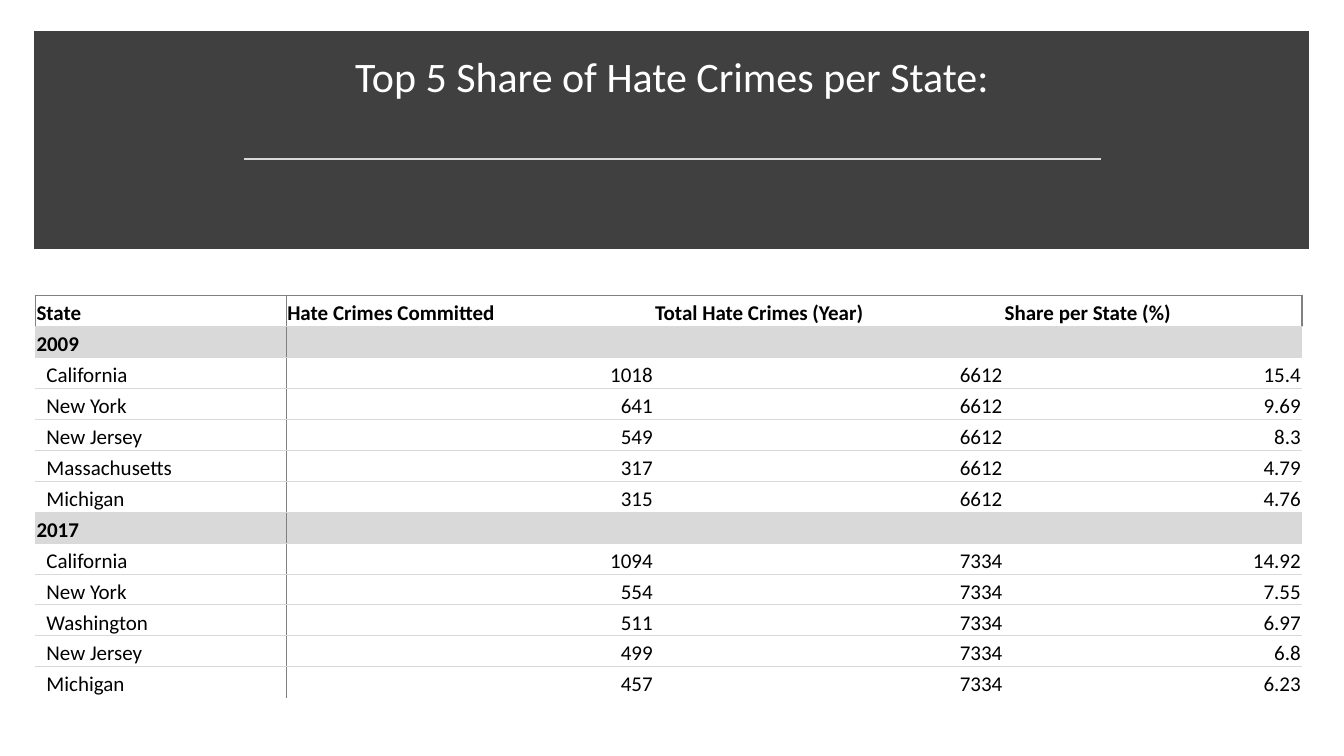
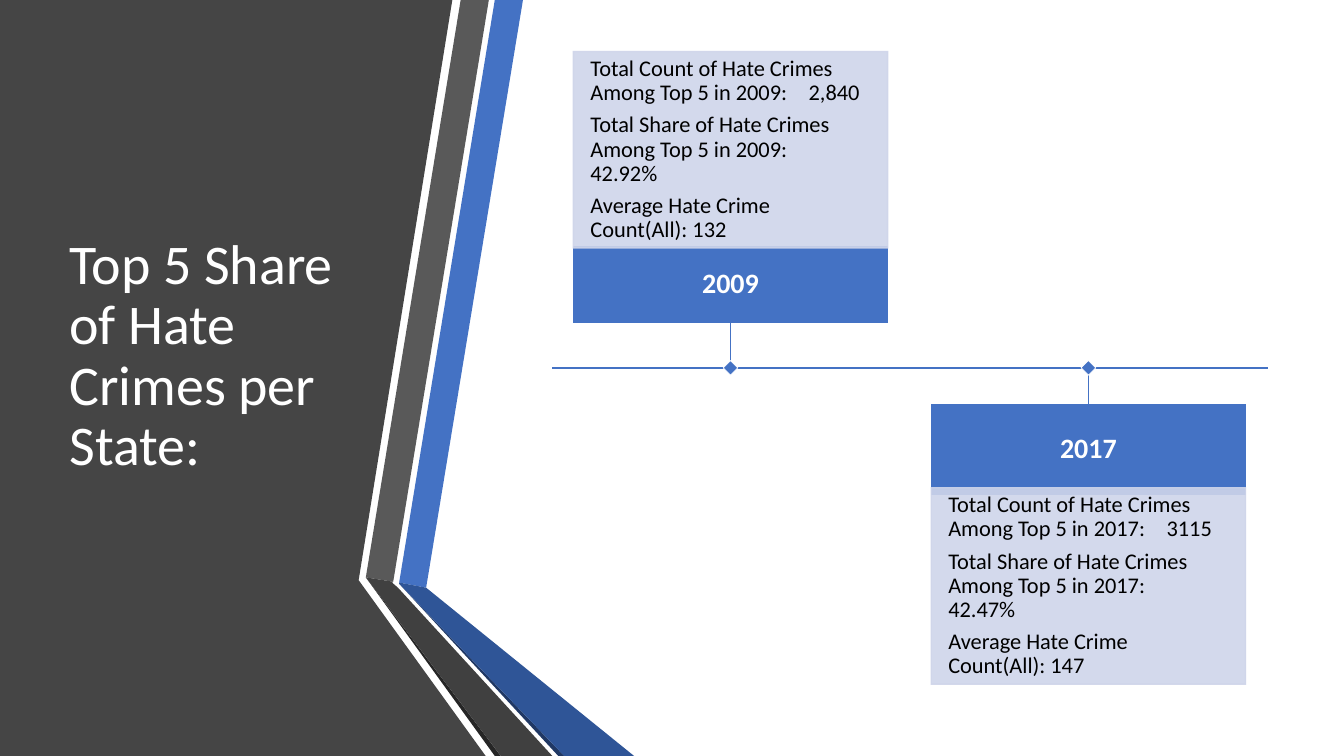
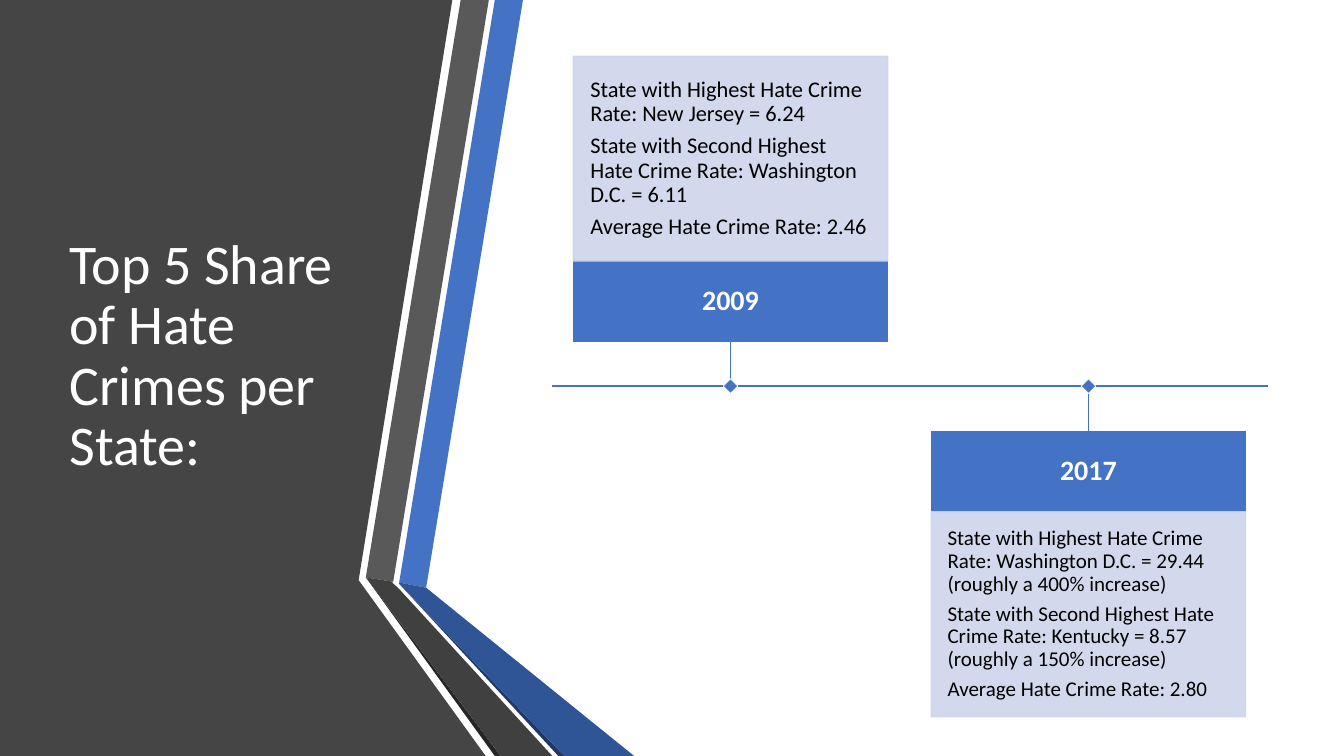
from lxml import etree
from pptx import Presentation
from pptx.dml.color import RGBColor
from pptx.enum.shapes import MSO_CONNECTOR, MSO_SHAPE
from pptx.enum.text import MSO_ANCHOR, PP_ALIGN
from pptx.oxml.ns import qn
from pptx.util import Cm, Pt

FONT = "Calibri"
TITLE = "Top 5 Share of Hate Crimes per State:"
COLORS = {
    "white": "FFFFFF", "black": "000000", "band": "404040", "panel": "454545",
    "stripe": "595959", "shadow": "262626", "blue": "4472C4", "deep_blue": "2F5597",
    "navy": "203864", "pale_blue": "CFD5EA", "rule": "D9D9D9", "border": "808080",
}

# Corner points in centimetres, from back to front
RIBBONS = [
    ("panel", [(0, 0), (11.4, 0), (9.04, 14.62), (12.24, 19.05), (0, 19.05)]),
    ("blue", [(10.06, 14.68), (10.74, 14.81), (13.18, 0), (12.47, 0)]),
    ("stripe", [(12.32, 0), (11.61, 0), (9.22, 14.55), (9.91, 14.66)]),
    ("shadow", [(9.22, 14.55), (12.47, 19.05), (12.62, 19.05)]),
    ("navy", [(10.06, 14.71), (14.07, 19.05), (14.22, 19.05)]),
    ("deep_blue", [(10.06, 14.71), (14.22, 19.05), (15.98, 19.05),
                   (10.74, 14.81), (10.06, 14.68)]),
    ("band", [(13.92, 19.05), (10.03, 14.81), (9.88, 14.68), (9.91, 14.66),
              (9.22, 14.55), (12.62, 19.05)]),
]

TABLE_HEADER = ["State", "Hate Crimes Committed", "Total Hate Crimes (Year)",
                "Share per State (%)"]
COLUMN_WIDTHS = [6.32, 9.27, 8.81, 7.52]
ROW_HEIGHT = 0.78
# Year: (total, [(state, count, share)])
CRIMES = {
    "2009": ("6612", [("California", "1018", "15.4"), ("New York", "641", "9.69"),
                      ("New Jersey", "549", "8.3"), ("Massachusetts", "317", "4.79"),
                      ("Michigan", "315", "4.76")]),
    "2017": ("7334", [("California", "1094", "14.92"), ("New York", "554", "7.55"),
                      ("Washington", "511", "6.97"), ("New Jersey", "499", "6.8"),
                      ("Michigan", "457", "6.23")]),
}

CARD_WIDTH = 7.92
CARD_LEFTS = [14.45, 23.47]
MARKER_SIZE = 0.26
VALUE_TAB = 5.5

# Each card: year, header top and height, body top and height, text size, lines
COUNT_CARDS = [
    ("2009", 6.22, 1.91, 1.3, 4.95, 16,
     ["Total Count of Hate Crimes Among Top 5 in 2009:\t2,840",
      "Total Share of Hate Crimes Among Top 5 in 2009:\t42.92%",
      "Average Hate Crime Count(All): 132"]),
    ("2017", 10.21, 2.24, 12.29, 4.95, 16,
     ["Total Count of Hate Crimes Among Top 5 in 2017:\t3115",
      "Total Share of Hate Crimes Among Top 5 in 2017:\t42.47%",
      "Average Hate Crime Count(All): 147"]),
]
RATE_CARDS = [
    ("2009", 6.58, 2.01, 1.42, 5.16, 16,
     ["State with Highest Hate Crime Rate: New Jersey = 6.24",
      "State with Second Highest Hate Crime Rate: Washington D.C. = 6.11",
      "Average Hate Crime Rate: 2.46"]),
    ("2017", 10.87, 2.01, 12.9, 5.16, 15,
     ["State with Highest Hate Crime Rate: Washington D.C. = 29.44 (roughly a 400% increase)",
      "State with Second Highest Hate Crime Rate: Kentucky = 8.57 (roughly a 150% increase)",
      "Average Hate Crime Rate: 2.80"]),
]


def rgb(name):
    return RGBColor.from_string(COLORS[name])


def add_slide(presentation):
    return presentation.slides.add_slide(presentation.slide_layouts[6])


def format_paragraph(paragraph, size, color, bold=False, align=PP_ALIGN.LEFT):
    paragraph.alignment = align
    for run in paragraph.runs:
        run.font.name = FONT
        run.font.size = Pt(size)
        run.font.bold = bold
        run.font.color.rgb = rgb(color)


def add_title(slide, left, top, width, height, size, align, anchor):
    frame = slide.shapes.add_textbox(Cm(left), Cm(top), Cm(width), Cm(height)).text_frame
    frame.word_wrap = True
    frame.vertical_anchor = anchor
    frame.text = TITLE
    frame.paragraphs[0].line_spacing = 0.9
    format_paragraph(frame.paragraphs[0], size, "white", align=align)


def add_box(slide, left, top, width, height, fill, line, line_width):
    shape = slide.shapes.add_shape(MSO_SHAPE.RECTANGLE, Cm(left), Cm(top),
                                   Cm(width), Cm(height))
    shape.shadow.inherit = False
    shape.fill.solid()
    shape.fill.fore_color.rgb = rgb(fill)
    shape.line.color.rgb = rgb(line)
    shape.line.width = Pt(line_width)
    outline = shape._element.spPr.find(qn("a:ln"))
    etree.SubElement(outline, qn("a:miter"), lim="800000")
    return shape


def set_opacity(shape, percent):
    for color in shape._element.spPr.iter(qn("a:srgbClr")):
        etree.SubElement(color, qn("a:alpha"), val=str(percent * 1000))


def add_line(slide, start, end, color, width):
    line = slide.shapes.add_connector(MSO_CONNECTOR.STRAIGHT, Cm(start[0]), Cm(start[1]),
                                      Cm(end[0]), Cm(end[1]))
    line.line.color.rgb = rgb(color)
    line.line.width = Pt(width)
    etree.SubElement(line._element.spPr, qn("a:effectLst"))


def add_ribbon(slide, color, points):
    corners = [(Cm(x), Cm(y)) for x, y in points]
    builder = slide.shapes.build_freeform(*corners[0])
    builder.add_line_segments(corners[1:], close=True)
    shape = builder.convert_to_shape()
    shape.shadow.inherit = False
    shape.fill.solid()
    shape.fill.fore_color.rgb = rgb(color)
    shape.line.fill.background()


def fill_box_text(shape, lines, size, color, inset, bold=False, align=PP_ALIGN.LEFT):
    frame = shape.text_frame
    frame.word_wrap = True
    frame.vertical_anchor = MSO_ANCHOR.MIDDLE
    frame.margin_left = frame.margin_right = Cm(inset)
    frame.margin_top = frame.margin_bottom = Cm(inset)
    frame.text = "\n".join(lines)
    for paragraph in frame.paragraphs:
        paragraph.line_spacing = 0.9
        paragraph.space_after = Pt(0.35 * size)
        format_paragraph(paragraph, size, color, bold, align)
        if "\t" in paragraph.text:
            tabs = etree.SubElement(paragraph._p.get_or_add_pPr(), qn("a:tabLst"))
            etree.SubElement(tabs, qn("a:tab"), pos=str(Cm(VALUE_TAB)), algn="l")


def set_borders(cell, borders):
    """Draw the given sides as {side: (color, points)} and clear the others."""
    properties = cell._tc.get_or_add_tcPr()
    for side in "LRTB":
        color, width = borders.get(side, (None, 0))
        line = etree.SubElement(properties, qn("a:ln" + side), w=str(Pt(width)))
        if color:
            fill = etree.SubElement(line, qn("a:solidFill"))
            etree.SubElement(fill, qn("a:srgbClr"), val=COLORS[color])
        else:
            etree.SubElement(line, qn("a:noFill"))


def cell_borders(row, column, last_row, last_column):
    borders = {"T": ("border", 1) if row == 0 else ("rule", 0.5)}
    if row < last_row:
        borders["B"] = ("rule", 0.5)
    if column == 0:
        borders["R"] = ("border", 0.5)
    if column == 1:
        borders["L"] = ("border", 0.5)
    if row == 0 and column == 0:
        borders["L"] = ("border", 1)
    if row == 0 and column == last_column:
        borders["R"] = ("border", 1)
    return borders


def format_cell(cell, text, heading, shaded, align, indent):
    cell.vertical_anchor = MSO_ANCHOR.BOTTOM
    cell.margin_left = Cm(indent)
    cell.margin_top = cell.margin_right = Cm(0.03)
    cell.margin_bottom = 0
    paragraph = cell.text_frame.paragraphs[0]
    if text:
        paragraph.text = text
        format_paragraph(paragraph, 15, "black", heading, align)
    else:
        etree.SubElement(paragraph._p, qn("a:endParaRPr"), sz="1500")
    if shaded:
        cell.fill.solid()
        cell.fill.fore_color.rgb = rgb("rule")
    else:
        cell.fill.background()


def add_crime_table(slide, left, top):
    rows = [TABLE_HEADER]
    for year, (total, states) in CRIMES.items():
        rows.append([year, "", "", ""])
        rows += [[state, count, total, share] for state, count, share in states]
    table = slide.shapes.add_table(len(rows), len(COLUMN_WIDTHS), Cm(left), Cm(top),
                                   Cm(sum(COLUMN_WIDTHS)),
                                   Cm(ROW_HEIGHT * len(rows))).table
    table.first_row = table.horz_banding = False
    for column, width in zip(table.columns, COLUMN_WIDTHS):
        column.width = Cm(width)
    for row, texts in enumerate(rows):
        table.rows[row].height = Cm(ROW_HEIGHT)
        shaded = texts[0] in CRIMES
        heading = row == 0 or shaded
        for column, text in enumerate(texts):
            cell = table.cell(row, column)
            set_borders(cell, cell_borders(row, column, len(rows) - 1, len(texts) - 1))
            align = PP_ALIGN.LEFT if heading or column == 0 else PP_ALIGN.RIGHT
            indent = 0.28 if column == 0 and not heading else 0.03
            format_cell(cell, text, heading, shaded, align, indent)


def add_card(slide, left, axis, card):
    """Add a year header, its facts and the stem that joins it to the axis."""
    year, header_top, header_height, body_top, body_height, size, facts = card
    header = add_box(slide, left, header_top, CARD_WIDTH, header_height, "blue", "blue", 1)
    fill_box_text(header, [year], 20, "white", 0.28, True, PP_ALIGN.CENTER)
    body = add_box(slide, left, body_top, CARD_WIDTH, body_height,
                   "pale_blue", "pale_blue", 1)
    set_opacity(body, 90)
    fill_box_text(body, facts, size, "black", 0.43 if size == 16 else 0.41)
    center = left + CARD_WIDTH / 2
    edge = header_top + header_height if header_top < axis else header_top
    add_line(slide, (center, edge), (center, axis), "blue", 0.5)


def add_marker(slide, center, axis):
    half = MARKER_SIZE / 2
    marker = add_box(slide, center - half, axis - half, MARKER_SIZE, MARKER_SIZE,
                     "blue", "white", 0.5)
    marker.rotation = 45


def build_table_slide(presentation):
    slide = add_slide(presentation)
    add_box(slide, 1.04, 0.97, 31.78, 5.13, "band", "band", 10)
    add_title(slide, 1.47, 1.3, 30.94, 2.59, 30, PP_ALIGN.CENTER, MSO_ANCHOR.TOP)
    add_line(slide, (6.15, 4.01), (27.74, 4.01), "rule", 1.75)
    add_crime_table(slide, 0.89, 7.44)


def build_timeline_slide(presentation, axis, cards):
    slide = add_slide(presentation)
    for color, points in RIBBONS:
        add_ribbon(slide, color, points)
    add_title(slide, 1.5, 1.91, 7.72, 14.17, 40, PP_ALIGN.LEFT, MSO_ANCHOR.MIDDLE)
    add_line(slide, (13.92, axis), (31.95, axis), "blue", 1)
    for left, card in zip(CARD_LEFTS, cards):
        add_card(slide, left, axis, card)
    for left in CARD_LEFTS:
        add_marker(slide, left + CARD_WIDTH / 2, axis)


def main():
    presentation = Presentation()
    presentation.slide_width = Cm(33.87)
    presentation.slide_height = Cm(19.05)
    build_table_slide(presentation)
    build_timeline_slide(presentation, 9.27, COUNT_CARDS)
    build_timeline_slide(presentation, 9.73, RATE_CARDS)
    presentation.save("out.pptx")


if __name__ == "__main__":
    main()
